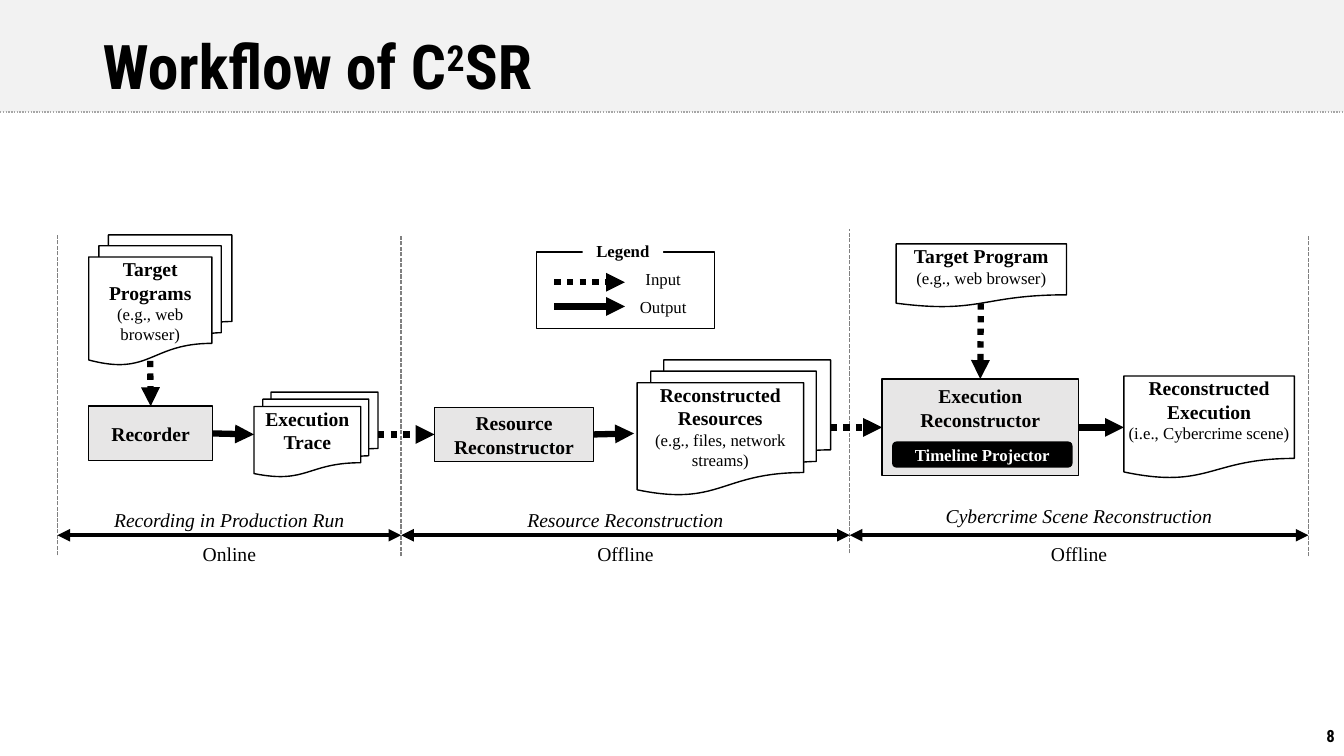
from pptx import Presentation
from pptx.util import Inches, Pt
from pptx.dml.color import RGBColor
from pptx.enum.dml import MSO_LINE
from pptx.enum.shapes import MSO_CONNECTOR, MSO_SHAPE
from pptx.enum.text import MSO_ANCHOR, PP_ALIGN
from pptx.oxml.ns import qn
from lxml.etree import SubElement

INK = {"black": "000000", "white": "FFFFFF", "band": "F2F2F2",
       "box": "E7E6E6", "rule": "A6A6A6", "gray": "808080"}
SERIF, SANS = "Times New Roman", "Roboto Condensed"
CELL = 0.1
COLS, ROWS = 133.33, 75
TOP, LEFT, BOTTOM, RIGHT = range(4)
DOC, STACK = MSO_SHAPE.FLOWCHART_DOCUMENT, MSO_SHAPE.FLOWCHART_MULTIDOCUMENT
DOT, DASH = MSO_LINE.ROUND_DOT, MSO_LINE.SQUARE_DOT


def grid(*cells):
    return [Inches(cell * CELL) for cell in cells]


def tint(name):
    return RGBColor.from_string(INK[name])


class Board:
    def __init__(self):
        self.deck = Presentation()
        self.deck.slide_width, self.deck.slide_height = grid(COLS, ROWS)
        self.slide = self.deck.slides.add_slide(self.deck.slide_layouts[6])
        self.shapes = self.slide.shapes

    def style(self, run, size, bold=False, slant=False, ink="black", face=SERIF):
        font = run.font
        font.size, font.bold, font.italic, font.name = Pt(size), bold, slant, face
        font.color.rgb = tint(ink)

    def letter(self, shape, lines, anchor=MSO_ANCHOR.MIDDLE, align=PP_ALIGN.CENTER, **look):
        frame = shape.text_frame
        frame.word_wrap = True
        frame.vertical_anchor = anchor
        frame.text = "\n".join(text for text, size, bold in lines)
        for para, (text, size, bold) in zip(frame.paragraphs, lines):
            para.alignment = align
            for run in para.runs:
                self.style(run, size, bold, **look)

    def label(self, spot, text, size=14, bold=False, **look):
        box = self.shapes.add_textbox(*grid(*spot))
        self.letter(box, [(text, size, bold)], **look)

    def title(self, spot, parts, size):
        frame = self.shapes.add_textbox(*grid(*spot)).text_frame
        frame.word_wrap = True
        frame.vertical_anchor = MSO_ANCHOR.MIDDLE
        para = frame.paragraphs[0]
        para.line_spacing = 0.9
        for text, lift in parts:
            run = para.add_run()
            run.text = text
            self.style(run, size, True, face=SANS)
            if lift:
                run.font._element.set("baseline", str(lift * 1000))

    def block(self, spot, lines=(), fill=None, edge=True, kind=MSO_SHAPE.RECTANGLE, **look):
        shape = self.shapes.add_shape(kind, *grid(*spot))
        shape.shadow.inherit = False
        if fill:
            shape.fill.solid()
            shape.fill.fore_color.rgb = tint(fill)
        else:
            shape.fill.background()
        if edge:
            shape.line.color.rgb = tint("black")
            shape.line.width = Pt(1)
        else:
            shape.line.fill.background()
        if lines:
            self.letter(shape, lines, **look)
        return shape

    def paper(self, spot, lines, kind=STACK):
        shape = self.block(spot, lines, kind=kind, anchor=MSO_ANCHOR.TOP)
        frame = shape.text_frame
        frame.margin_left = frame.margin_top = frame.margin_right = 0

    def line(self, start, end, ink="black", width=4.5, dash=None, tips=("tailEnd",),
             source=None, target=None):
        link = self.shapes.add_connector(MSO_CONNECTOR.STRAIGHT, *grid(*start, *end))
        link.line.color.rgb = tint(ink)
        link.line.width = Pt(width)
        if dash:
            link.line.dash_style = dash
        stroke = link.line._get_or_add_ln()
        for tip in tips:
            SubElement(stroke, qn("a:" + tip), type="triangle")
        SubElement(link._element.spPr, qn("a:effectLst"))
        if source:
            link.begin_connect(*source)
        if target:
            link.end_connect(*target)

    def phase(self, left, right, name, mode, row):
        span = right - left
        self.label((left, row, span, 3.7), name, slant=True)
        self.line((left, 53.1), (right, 53.1), width=3, tips=("headEnd", "tailEnd"))
        self.label((left, 53.7, span, 2.5), mode)


def main():
    board = Board()
    board.block((0, 0, COLS, 11.1), fill="band", edge=False)
    board.line((0, 11.1), (COLS, 11.1), "rule", 1, DOT, ())
    board.title((9.2, 2.3, 115, 9.3), [("Workflow of C", 0), ("2", 30), ("SR", 0)], 44)
    board.label((114.3, 71, 19.1, 4), "8", 12, True, align=PP_ALIGN.RIGHT, face=SANS)

    edges = [5.7, 39.8, 84.3, 129.8]
    for col, top, base in zip(edges, (23.3, 23.3, 22.7, 23.3), (55.1, 55.2, 54.9, 55.2)):
        board.line((col, base), (col, top), "gray", 1, DASH, ())
    phases = [("Recording in Production Run", "Online", 49.7),
              ("Resource Reconstruction", "Offline", 49.7),
              ("Cybercrime Scene Reconstruction", "Offline", 49.3)]
    for left, right, phase in zip(edges, edges[1:], phases):
        board.phase(left, right, *phase)

    tool = board.block((8.8, 40.3, 12.3, 5.4), [("Recorder", 14, True)], "box")
    maker = board.block((43.1, 40.4, 15.8, 5.4), [("Resource Reconstructor", 14, True)], "box")
    player = board.block((87.5, 37.6, 19.5, 9.6), [("Execution Reconstructor", 14, True)],
                         "box", anchor=MSO_ANCHOR.TOP)
    board.block((88.5, 43.8, 17.9, 2.6), [("Timeline Projector", 12, True)], "black",
                False, MSO_SHAPE.ROUNDED_RECTANGLE, ink="white")

    board.line((14.9, 35.8), (15, 40.3), dash=DOT, target=(tool, TOP))
    board.line((21.1, 43), (25.2, 43.1), source=(tool, RIGHT))
    board.line((37.5, 43.1), (43.1, 43.1), dash=DOT, target=(maker, LEFT))
    board.line((58.9, 43.1), (62.9, 43), source=(maker, RIGHT))
    board.line((82.4, 42.4), (87.5, 42.4), dash=DOT, target=(player, LEFT))
    board.line((97.3, 30.1), (97.3, 37.6), dash=DOT, target=(player, TOP))
    board.line((107, 42.4), (111.5, 42.4), source=(player, RIGHT))

    board.paper((8.8, 23.3, 14.2, 12.9),
                [("Target", 14, True), ("Programs", 14, True), ("(e.g., web browser)", 12, False)])
    board.paper((25.2, 38.9, 12.3, 8.4), [("Execution Trace", 14, True)])
    board.paper((63.2, 35.7, 19.2, 13.4),
                [("Reconstructed Resources", 14, True),
                 ("(e.g., files, network streams)", 12, False)])
    board.paper((88.9, 24.2, 16.9, 6.3),
                [("Target Program", 14, True), ("(e.g., web browser)", 12, False)], DOC)
    board.paper((111.5, 37.3, 16.9, 10.2),
                [("Reconstructed", 14, True), ("Execution", 14, True),
                 ("(i.e., Cybercrime scene)", 12, False)], DOC)

    board.block((53.2, 25, 17.7, 7.6))
    board.block((57.8, 23.6, 8, 2.5), [("Legend", 12, True)], "white", False)
    for row, name, dash in ((28, "Input", DOT), (30.4, "Output", None)):
        board.line((55, row), (62, row), dash=dash)
    for row, name in ((26.4, "Input"), (29.2, "Output")):
        board.label((61.8, row, 8, 2.5), name, 12)

    board.deck.save("out.pptx")


if __name__ == "__main__":
    main()
